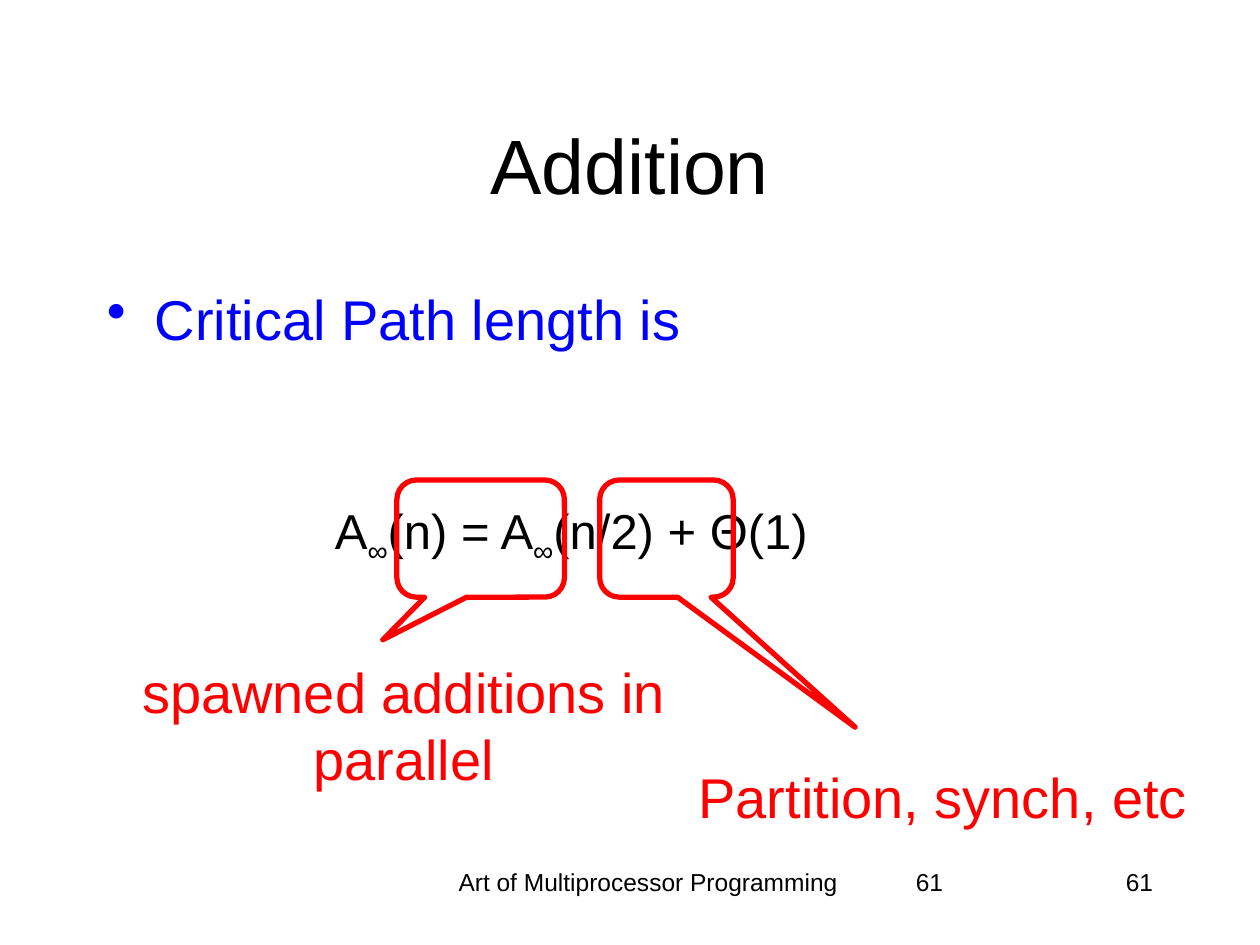
from dataclasses import dataclass
from typing import Any

import pptx
import pptx.dml.color
import pptx.enum.shapes
import pptx.enum.text
import pptx.oxml.ns
import pptx.util
from lxml import etree

Inches = pptx.util.Inches
Pt = pptx.util.Pt
Color = pptx.dml.color.RGBColor
Align = pptx.enum.text.PP_ALIGN
Anchor = pptx.enum.text.MSO_ANCHOR


@dataclass(frozen=True)
class Theme:
    font: str = "Arial"
    black: str = "000000"
    blue: str = "0000FF"
    red: str = "FF0000"
    title: int = 44
    body: int = 32
    math: int = 28
    foot: int = 14
    line: int = 3
    sub: int = -25000


@dataclass(frozen=True)
class Place:
    left: float
    top: float
    width: float
    height: float

    def spread(self) -> list:
        return [Inches(n) for n in (self.left, self.top, self.width, self.height)]


@dataclass(frozen=True)
class Label:
    text: str
    place: Place
    size: int
    color: str
    align: Any = Align.CENTER
    anchor: Any = Anchor.TOP
    wrap: bool = True


@dataclass(frozen=True)
class Callout:
    place: Place
    tip: tuple


THEME = Theme()
FOOT = Place(7.17, 6.83, 2.08, 0.5)
LABELS = [
    Label("Art of Multiprocessor Programming", Place(3.42, 6.83, 3.45, 0.5), THEME.foot, THEME.black),
    Label("61", FOOT, THEME.foot, THEME.black, Align.LEFT),
    Label("61", FOOT, THEME.foot, THEME.black, Align.RIGHT),
    Label("Addition", Place(0.75, 0.67, 8.5, 1.25), THEME.title, THEME.black, anchor=Anchor.MIDDLE),
    Label("spawned additions in parallel", Place(0.93, 5.17, 4.55, 1.17), THEME.body, THEME.red),
    Label("Partition, synch, etc", Place(5.43, 6, 4.11, 0.64), THEME.body, THEME.red, wrap=False),
]
BODY = Place(0.75, 2.21, 8.5, 4.46)
CALLOUTS = [
    Callout(Place(3.15, 3.81, 1.33, 0.93), (-0.584, 0.864, 0.167)),
    Callout(Place(4.76, 3.81, 1.06, 0.93), (1.413, 1.61, 0.167)),
]


def add_frame(slide: Any, place: Place, anchor: Any = Anchor.TOP, wrap: bool = True) -> Any:
    frame = slide.shapes.add_textbox(*place.spread()).text_frame
    frame.word_wrap = wrap
    frame.vertical_anchor = anchor
    return frame


def write(para: Any, text: str, *, size: int, color: str, align: Any = Align.LEFT,
          left: float = 0, hang: float = 0, bullet: str = "", gap: float = 0) -> None:
    props = para._p.get_or_add_pPr()
    props.set("marL", str(Inches(left)))
    props.set("indent", str(Inches(-hang)))
    if bullet:
        etree.SubElement(props, pptx.oxml.ns.qn("a:buChar")).set("char", bullet)
    para.alignment = align
    if gap:
        para.space_before = Pt(gap)
    for index, part in enumerate(text.split("|")):
        run = para.add_run()
        run.text = part
        run.font.name = THEME.font
        run.font.size = Pt(size)
        run.font.color.rgb = Color.from_string(color)
        if index % 2:
            run.font._element.set("baseline", str(THEME.sub))


def add_label(slide: Any, label: Label) -> None:
    frame = add_frame(slide, label.place, label.anchor, label.wrap)
    write(frame.paragraphs[0], label.text, size=label.size, color=label.color, align=label.align)


def add_body(slide: Any) -> None:
    frame = add_frame(slide, BODY)
    write(frame.paragraphs[0], "Critical Path length is", size=THEME.body,
          color=THEME.blue, left=0.38, hang=0.38, bullet="•")
    write(frame.add_paragraph(), "A|∞|(n) = A|∞|(n/2) + Θ(1)", size=THEME.math,
          color=THEME.black, left=1.81, gap=85)


def add_callout(slide: Any, callout: Callout) -> None:
    kind = pptx.enum.shapes.MSO_SHAPE.ROUNDED_RECTANGULAR_CALLOUT
    shape = slide.shapes.add_shape(kind, *callout.place.spread())
    for index, value in enumerate(callout.tip):
        shape.adjustments[index] = value
    shape.shadow.inherit = False
    shape.fill.background()
    shape.line.color.rgb = Color.from_string(THEME.red)
    shape.line.width = Pt(THEME.line)


def main() -> None:
    deck = pptx.Presentation()
    deck.slide_width = Inches(10)
    deck.slide_height = Inches(7.5)
    slide = deck.slides.add_slide(deck.slide_layouts[6])
    for label in LABELS:
        add_label(slide, label)
    add_body(slide)
    for callout in CALLOUTS:
        add_callout(slide, callout)
    deck.save("out.pptx")


if __name__ == "__main__":
    main()
